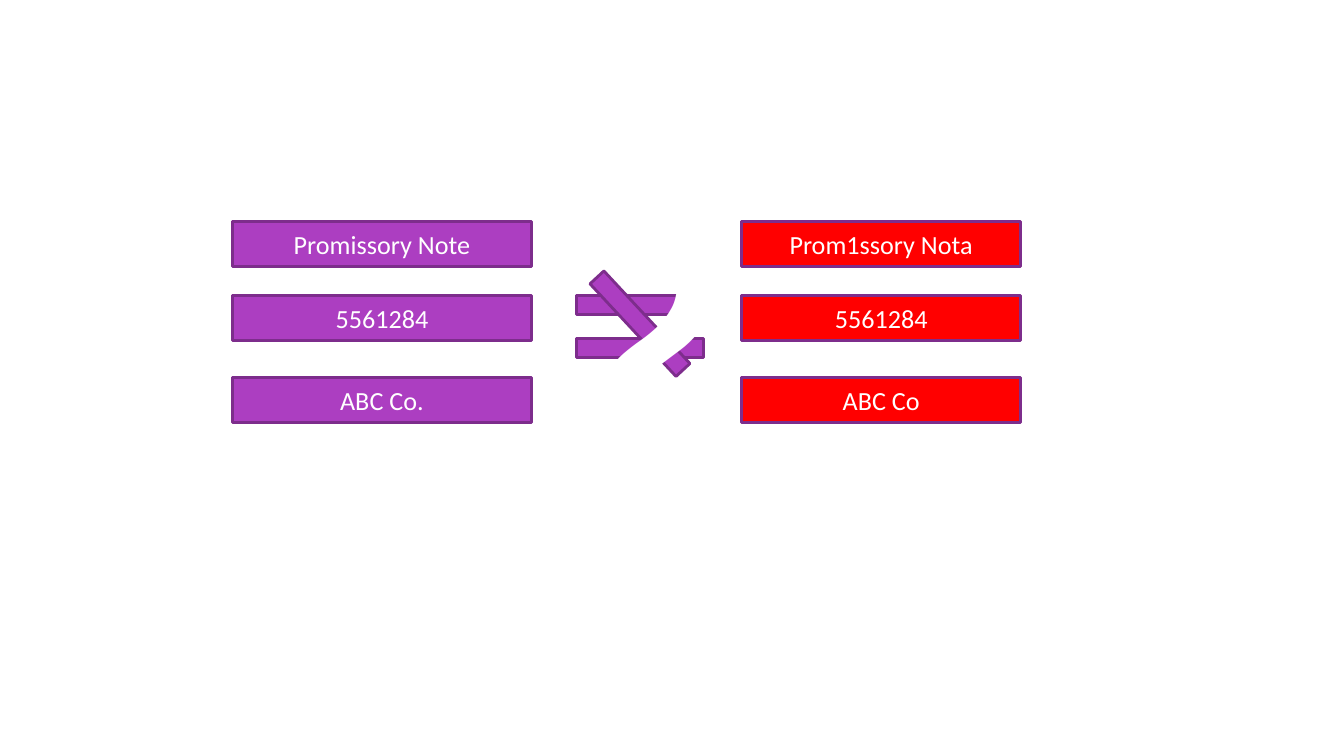
from dataclasses import dataclass

from pptx import Presentation
from pptx import util as u
from pptx.dml.color import RGBColor
from pptx.enum import shapes, text

PURPLE = RGBColor(0xAC, 0x3E, 0xC1)
OUTLINE = RGBColor(0x7D, 0x2D, 0x8C)
RED = RGBColor(0xFF, 0x00, 0x00)
WHITE = RGBColor(0xFF, 0xFF, 0xFF)

ROW_TOPS = (4.19, 5.59, 7.14)
ROW_HEIGHT = 0.85
FRAME = {
    "margin_left": u.Cm(0.18),
    "margin_right": u.Cm(0.18),
    "margin_top": u.Cm(0.09),
    "margin_bottom": u.Cm(0.09),
    "word_wrap": True,
}


@dataclass(frozen=True)
class Record:
    left: float
    width: float
    fill: RGBColor
    fields: tuple[str, ...]


@dataclass(frozen=True)
class Bar:
    top: float
    rotation: float = 0


RECORDS = (
    Record(14.02, 5.27, RED, ("Prom1ssory Nota", "5561284", "ABC Co")),
    Record(4.39, 5.66, PURPLE, ("Promissory Note", "5561284", "ABC Co.")),
)
NOT_EQUAL = (Bar(5.59), Bar(6.4), Bar(5.94, 47.1))


def write(sp, words: str, size: float, anchor: text.MSO_ANCHOR) -> None:
    tf = sp.text_frame
    for name, value in {**FRAME, "vertical_anchor": anchor}.items():
        setattr(tf, name, value)
    p = tf.paragraphs[0]
    p.alignment = text.PP_ALIGN.CENTER
    r = p.add_run()
    r.text = words
    for name, value in {"name": "Calibri", "size": u.Pt(size)}.items():
        setattr(r.font, name, value)
    r.font.color.rgb = WHITE


def add_box(s, left: float, top: float, width: float, height: float,
            fill: RGBColor):
    sp = s.shapes.add_shape(shapes.MSO_SHAPE.RECTANGLE, u.Cm(left),
                            u.Cm(top), u.Cm(width), u.Cm(height))
    sp.shadow.inherit = False
    sp.fill.solid()
    sp.fill.fore_color.rgb = fill
    sp.line.color.rgb = OUTLINE
    sp.line.width = u.Pt(1.5)
    return sp


def draw_record(s, record: Record) -> None:
    for top, words in zip(ROW_TOPS, record.fields):
        sp = add_box(s, record.left, top, record.width, ROW_HEIGHT,
                     record.fill)
        write(sp, words, 14, text.MSO_ANCHOR.MIDDLE)


def draw_bar(s, bar: Bar) -> None:
    sp = add_box(s, 10.9, bar.top, 2.39, 0.36, PURPLE)
    sp.rotation = bar.rotation


def main() -> None:
    prs = Presentation()
    prs.slide_width, prs.slide_height = u.Cm(25.4), u.Cm(14.29)
    s = prs.slides.add_slide(prs.slide_layouts[6])
    for record in RECORDS:
        draw_record(s, record)
    for bar in NOT_EQUAL:
        draw_bar(s, bar)
    question = s.shapes.add_textbox(u.Cm(7.92), u.Cm(0.97), u.Cm(8.1),
                                    u.Cm(11.23))
    write(question, "?", 258, text.MSO_ANCHOR.TOP)
    prs.save("out.pptx")


if __name__ == "__main__":
    main()
